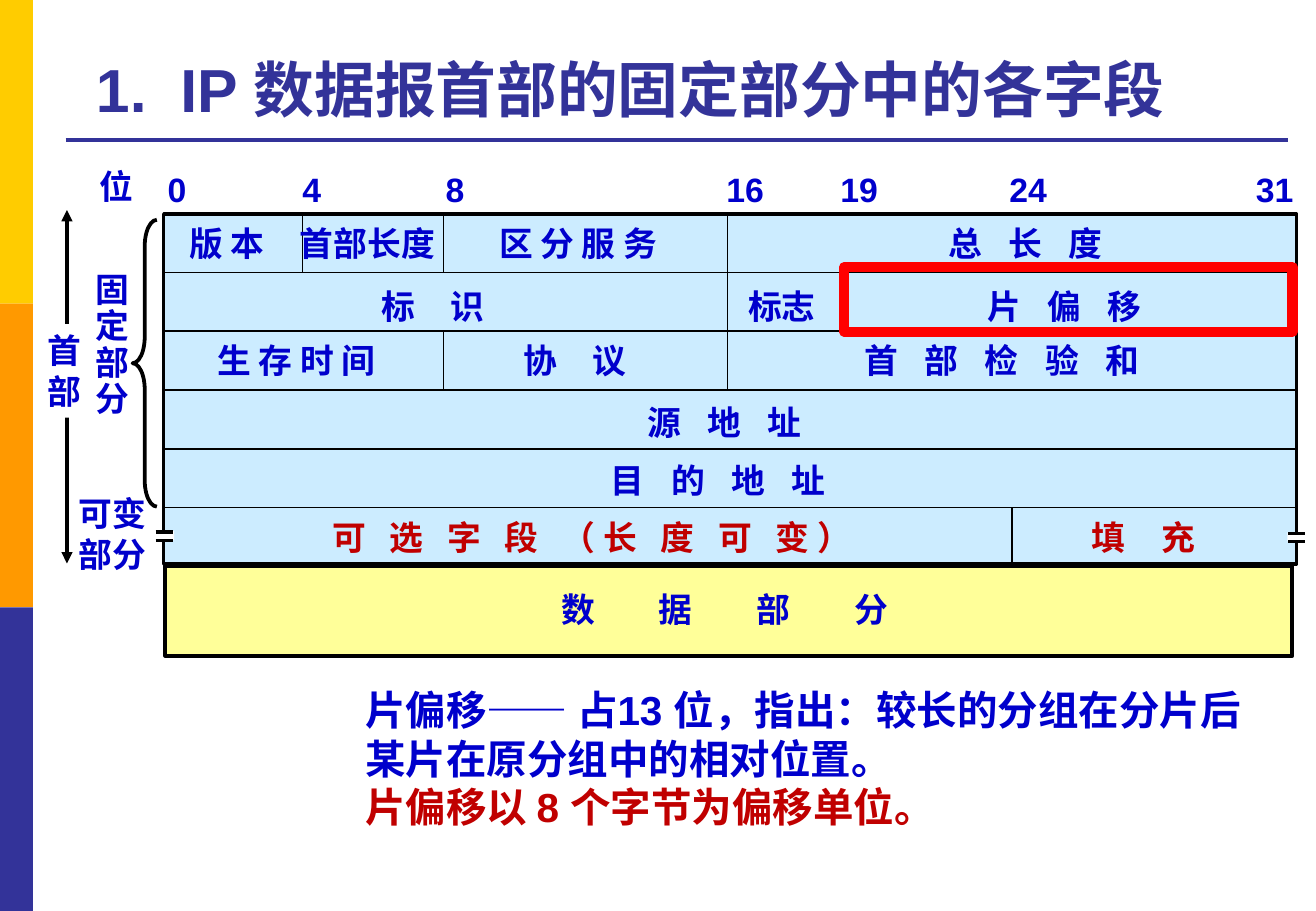
from dataclasses import dataclass
from pptx import Presentation
from pptx.dml.color import RGBColor
from pptx.enum.shapes import MSO_CONNECTOR as Conn, MSO_SHAPE as Kind
from pptx.enum.text import MSO_ANCHOR as Anchor, PP_ALIGN as Align
from pptx.oxml.ns import qn
from pptx.util import Pt
from lxml.etree import SubElement as sub


@dataclass(frozen=True)
class Theme:
    font: str = "Arial"
    navy: str = "333399"
    gold: str = "FFCC00"
    amber: str = "FF9900"
    blue: str = "0000CC"
    wine: str = "C00000"
    red: str = "FF0000"
    sky: str = "CCECFF"
    cream: str = "FFFF99"
    white: str = "FFFFFF"
    black: str = "000000"
    head: int = 36
    note: int = 24
    body: int = 20


T = Theme()
EDGE = {0: 97, 4: 179.3, 8: 262.8, 16: 431.3, 19: 499.7, 24: 599.8, 32: 768.5}
ROW = 34.8
LIFT = [1.7, 4.5, 1.4, 3.3, 3.1, 2]
WALLS = [(4, 0, 1), (8, 0, 1), (8, 2, 3), (16, 0, 3), (19, 1, 2), (24, 5, 6)]
FIELDS = [
    (0, 105, 60.5, "版 本", 0, T.blue),
    (0, 170.6, 95, "首部长度", 0, T.blue),
    (0, 288.7, 112.3, "区 分 服 务", 0, T.blue),
    (0, 555, 108.7, "总 长 度", 5.56, T.blue),
    (1, 218.9, 77, "标 识", 8.34, T.blue),
    (1, 436.3, 54.7, "标志", 0, T.blue),
    (1, 578.2, 108.7, "片 偏 移", 5.56, T.blue),
    (2, 121.7, 112.3, "生 存 时 间", 0, T.blue),
    (2, 303, 77, "协 议", 8.34, T.blue),
    (2, 505.4, 182.9, "首 部 检 验 和", 5.56, T.blue),
    (3, 376.6, 108.7, "源 地 址", 5.56, T.blue),
    (4, 355, 145.4, "目 的 地 址", 5.56, T.blue),
    (5, 190, 328.3, "可 选 字 段 （长 度 可 变）", 4.7, T.wine),
    (5, 640, 77, "填 充", 8.34, T.wine),
]
BITS = [("0", 92.2, 26), ("4", 172.1, 26), ("8", 257, 26), ("16", 423.4, 36.7),
        ("19", 491, 36.7), ("24", 591.1, 36.7), ("31", 737.3, 36.7)]


def rgb(tone):
    return RGBColor.from_string(tone)


def rect(slide, box, fill=None, line=None, wide=1, kind=Kind.RECTANGLE):
    shape = slide.shapes.add_shape(kind, *map(Pt, box))
    shape.shadow.inherit = False
    if fill:
        shape.fill.solid()
        shape.fill.fore_color.rgb = rgb(fill)
    else:
        shape.fill.background()
    if line:
        shape.line.color.rgb = rgb(line)
        shape.line.width = Pt(wide)
    else:
        shape.line.fill.background()
    return shape


def rule(slide, ends, tone=T.black, wide=1, heads=False):
    line = slide.shapes.add_connector(Conn.STRAIGHT, *map(Pt, ends))
    line.line.color.rgb = rgb(tone)
    line.line.width = Pt(wide)
    if heads:
        for end in ("a:headEnd", "a:tailEnd"):
            sub(line.line._get_or_add_ln(), qn(end), type="triangle")
    sub(line._element.spPr, qn("a:effectLst"))


def style(para, size, tone):
    font = para.font
    font.name, font.size, font.bold = T.font, Pt(size), True
    font.color.rgb = rgb(tone)


def space(run, gap):
    run._r.get_or_add_rPr().set("spc", str(round(gap * 100)))


def label(slide, box, lines, size=T.body, tone=T.blue, gap=0, wrap=False, lead=None):
    x, y, w, h = box
    shape = slide.shapes.add_textbox(Pt(x), Pt(y), Pt(w + gap), Pt(h))
    frame = shape.text_frame
    frame.word_wrap = wrap
    frame.text = "\n".join(lines)
    for para in frame.paragraphs:
        style(para, size, tone)
        if lead:
            para.line_spacing = lead
        if gap:
            space(para.runs[0], gap)
    return shape


def side(slide, box):
    x, y, w, h = box
    for i, tone in enumerate((T.gold, T.amber, T.navy)):
        rect(slide, (x, y + i * h / 3, w, h / 3), tone)


def heading(slide, box):
    x, y, w, h = box
    title = slide.shapes.title
    title.left, title.top, title.width, title.height = map(Pt, box)
    frame = title.text_frame
    frame.word_wrap = True
    frame.vertical_anchor = Anchor.BOTTOM
    para = frame.paragraphs[0]
    para.alignment = Align.LEFT
    for text in ("1.", " ", "IP 数据报首部的固定部分中的各字段"):
        run = para.add_run()
        run.text = text
        if text == " ":
            space(run, 10)
    style(para, T.head, T.navy)
    rule(slide, (x - 10.8, y + h + 5, x + w, y + h + 5), T.navy, 2.25)


def header(slide, box):
    x, y, w, h = box
    rect(slide, box, T.sky, T.black, 2)
    for i in range(1, 6):
        rule(slide, (x, y + i * ROW, x + w, y + i * ROW))
    for bit, top, end in WALLS:
        at = x + EDGE[bit] - EDGE[0]
        rule(slide, (at, y + top * ROW, at, y + end * ROW))
    for row, left, wide, text, gap, tone in FIELDS:
        place = (x + left - EDGE[0], y + row * ROW + LIFT[row], wide, 31)
        label(slide, place, [text], tone=tone, gap=gap)
    for text, left, wide in BITS:
        label(slide, (x + left - EDGE[0], y - 30.5, wide, 31), [text])
    for at, down in ((x - 5.3, 188), (x + w - 5.5, 188.7)):
        rect(slide, (at, y + down, 11.5, 5.4), T.white)
        for dy in (0, 5):
            rule(slide, (at + 0.6, y + down + dy + 0.6, at + 10.7, y + down + dy + 0.6), wide=2)


def margin(slide, box):
    x, y, w, h = box
    label(slide, (x + 31, y - 30, 34.6, 31), ["位"])
    label(slide, (x + 28.8, y + 33.4, 34.6, 94.3), list("固定部分"), lead=0.9)
    label(slide, (x + 18.7, y + 163.7, 54.7, 55.4), ["可变", "部分"])
    rule(slide, (x + 18.7, y - 0.5, x + 18.7, y + h), wide=2.25, heads=True)
    rect(slide, (x, y + 67.2, 34.6, 55.4), T.white)
    label(slide, (x, y + 67.2, 34.6, 55.4), list("首部"))
    brace = rect(slide, (x + 57.6, y + 5.3, 14.4, 170), None, T.black, 2.25, Kind.LEFT_BRACE)
    brace.adjustments[0] = 1.08
    brace.adjustments[1] = 0.5


def data(slide, box):
    x, y, w, h = box
    rect(slide, box, T.cream, T.black, 2.25)
    label(slide, (x + 227.5, y + 10, 248.4, 31), ["数 据 部 分"], gap=16.7, wrap=True)


def note(slide, box):
    lines = ["片偏移—— 占13 位，指出：较长的分组在分片后",
             "某片在原分组中的相对位置。", "片偏移以 8 个字节为偏移单位。"]
    shape = label(slide, box, lines, T.note, wrap=True)
    style(shape.text_frame.paragraphs[-1], T.note, T.wine)


def main():
    deck = Presentation()
    deck.slide_width, deck.slide_height = Pt(780), Pt(540)
    slide = deck.slides.add_slide(deck.slide_layouts[5])
    side(slide, (0, 0, 19.5, 540))
    heading(slide, (49.7, 15, 713.5, 62.8))
    header(slide, (97, 126.8, 671.5, 207.5))
    data(slide, (98, 335.5, 668, 53.3))
    margin(slide, (21, 125, 76, 209))
    rect(slide, (500.4, 158.4, 265.7, 38.2), None, T.red, 6)
    note(slide, (209.5, 402.5, 537, 120))
    deck.save("out.pptx")


if __name__ == "__main__":
    main()
